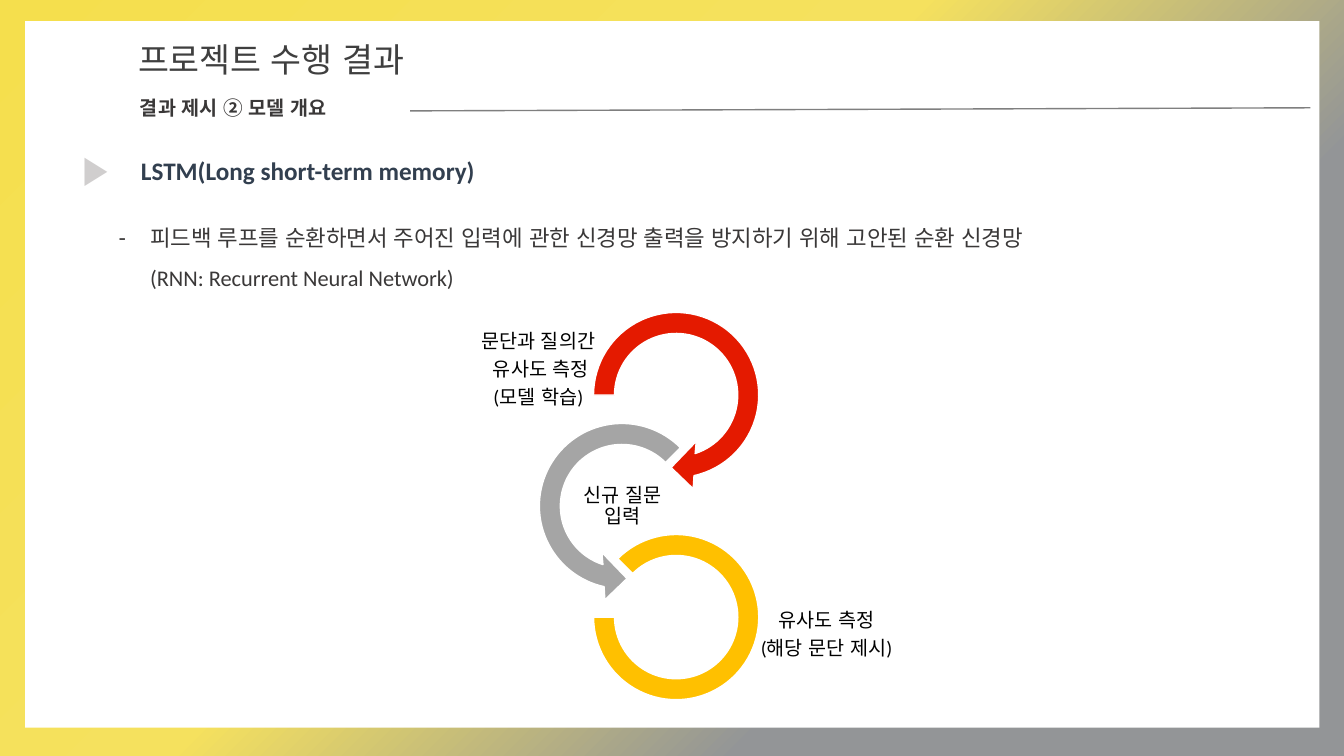
from math import cos, radians, sin, tan

from lxml.etree import SubElement
from pptx import Presentation
from pptx.dml.color import RGBColor
from pptx.enum.shapes import MSO_CONNECTOR as Connector, MSO_SHAPE as Preset
from pptx.enum.text import MSO_ANCHOR as Anchor, MSO_AUTO_SIZE as AutoSize, PP_ALIGN as Align
from pptx.oxml.ns import qn
from pptx.util import Pt

# Rings of the process diagram, in points
OUTER, INNER, FRAME = 59, 44, 68.8
RING_X, RING_Y = 483, 282.2
STEP_X, STEP_Y = -38.7, 79.3


def color(hex_code):
    return RGBColor.from_string(hex_code)


def place(shape, box):
    shape.left, shape.top, shape.width, shape.height = [Pt(value) for value in box]


def paint(shape, fill, line=None):
    shape.shadow.inherit = False
    shape.fill.solid()
    shape.fill.fore_color.rgb = color(fill)
    if line:
        shape.line.color.rgb = color(line)
        shape.line.width = Pt(1)
    else:
        shape.line.fill.background()


def write(shape, text, size, hex_code, font="Calibri", bold=False, align=Align.LEFT,
          anchor=Anchor.TOP, auto_size=AutoSize.SHAPE_TO_FIT_TEXT):
    frame = shape.text_frame
    frame.text = text
    frame.word_wrap = True
    frame.auto_size = auto_size
    frame.vertical_anchor = anchor
    for paragraph in frame.paragraphs:
        paragraph.alignment = align
        paragraph.space_before = Pt(0)
        for run in paragraph.runs:
            run.font.size = Pt(size)
            run.font.name = font
            run.font.bold = bold
            run.font.color.rgb = color(hex_code)
            # Korean glyphs and spaces follow the East Asian font
            SubElement(run._r.get_or_add_rPr(), qn("a:ea"), typeface="Arial")


def add_text(slide, box, *args, **kwargs):
    shape = slide.shapes.add_textbox(*[Pt(value) for value in box])
    write(shape, *args, **kwargs)
    return shape


def add_label(slide, box, text):
    label = add_text(slide, box, text, 14, "000000", align=Align.CENTER,
                     anchor=Anchor.MIDDLE, auto_size=AutoSize.NONE)
    frame = label.text_frame
    frame.margin_left = frame.margin_right = Pt(0.7)
    frame.margin_top = frame.margin_bottom = Pt(0.7)
    for index, paragraph in enumerate(frame.paragraphs):
        paragraph.line_spacing = 0.9
        paragraph.space_before = Pt(4.9 if index else 0)


def curve(radius, start, end, pieces=4):
    """Three Bezier points for each piece of an arc, without its first point."""
    step = radians(end - start) / pieces
    pull = 4 / 3 * tan(step / 4)
    points = []
    for index in range(pieces):
        a = radians(start) + index * step
        b = a + step
        points += [(radius * (cos(a) - pull * sin(a)), radius * (sin(a) + pull * cos(a))),
                   (radius * (cos(b) + pull * sin(b)), radius * (sin(b) - pull * cos(b))),
                   (radius * cos(b), radius * sin(b))]
    return points


def bend(lines):
    """Join each three line segments into one Bezier segment."""
    for first in range(0, len(lines), 3):
        bezier = lines[first].makeelement(qn("a:cubicBezTo"))
        lines[first].addprevious(bezier)
        for line in lines[first:first + 3]:
            bezier.append(line[0])
            line.getparent().remove(line)


def add_ring_arrow(slide, center_x, center_y, start, fill, mirror=1):
    def corner(radius):
        return radius * cos(radians(start)), radius * sin(radians(start))

    outer, inner = curve(OUTER, start, 437.5), curve(INNER, 432, start)
    head = [(12.2, 67), (-3.6, 51.8), (14.4, 33.1), (13.6, 41.8)]
    outline = [corner(OUTER)] + outer + head + inner
    points = [(Pt(center_x + mirror * x), Pt(center_y + y)) for x, y in outline]
    builder = slide.shapes.build_freeform(*points[0])
    builder.add_line_segments(points[1:], close=True)
    arrow = builder.convert_to_shape()
    paint(arrow, fill, "FFFFFF")

    # Square frame around the ring center
    left, top = arrow.left, arrow.top
    place(arrow, (center_x - FRAME, center_y - FRAME, 2 * FRAME, 2 * FRAME))
    outline_path = next(arrow.element.iter(qn("a:path")))
    outline_path.set("w", str(arrow.width))
    outline_path.set("h", str(arrow.height))
    for point in outline_path.iter(qn("a:pt")):
        point.set("x", str(int(point.get("x")) + left - arrow.left))
        point.set("y", str(int(point.get("y")) + top - arrow.top))
    lines = outline_path.findall(qn("a:lnTo"))
    inner_start = len(outer) + len(head)
    bend(lines[:len(outer)])
    bend(lines[inner_start:inner_start + len(inner)])


def add_rule(slide, start, end, hex_code):
    rule = slide.shapes.add_connector(Connector.STRAIGHT, *[Pt(v) for v in start + end])
    rule.line.color.rgb = color(hex_code)
    rule.line.width = Pt(1)
    SubElement(rule.element.spPr, qn("a:effectLst"))


def set_background(slide, stops):
    fill = slide.background.fill
    fill.gradient()
    fill.gradient_angle = 315
    stop_list = next(slide.element.iter(qn("a:gsLst")))
    for old_stop in list(stop_list):
        stop_list.remove(old_stop)
    for position, hex_code in stops:
        stop = SubElement(stop_list, qn("a:gs"), pos=str(position * 1000))
        SubElement(stop, qn("a:srgbClr"), val=hex_code)


def set_dash_bullet(paragraph, indent, hex_code):
    properties = paragraph._p.get_or_add_pPr()
    properties.set("marL", str(Pt(indent)))
    properties.set("indent", str(-Pt(indent)))
    bullet_color = SubElement(properties, qn("a:buClr"))
    SubElement(bullet_color, qn("a:srgbClr"), val=hex_code)
    SubElement(properties, qn("a:buChar"), char="-")


def main():
    presentation = Presentation()
    presentation.slide_width, presentation.slide_height = Pt(960), Pt(540)
    slide = presentation.slides.add_slide(presentation.slide_layouts[1])
    title, body = slide.placeholders

    # Background and white panel
    set_background(slide, [(0, "F5DF4D"), (44, "F5E15E"), (71, "939597")])
    panel = slide.shapes.add_shape(Preset.RECTANGLE, Pt(18), Pt(15.1), Pt(924.5), Pt(504.7))
    paint(panel, "FFFFFF")
    title.element.addprevious(panel.element)

    # Headings
    place(title, (91.4, 24.5, 232.6, 36))
    write(title, "프로젝트 수행 결과", 24, "3F3F3F", font="Arial")
    add_text(slide, (92.9, 64.8, 219.6, 24.5), "결과 제시 ② 모델 개요", 14, "3A3838", bold=True)
    add_rule(slide, (293, 79.2), (936, 77), "7F7F7F")
    add_text(slide, (51.8, 99.4, 39.6, 41), "▶", 28, "D0CECE", font="Arial", bold=True)
    add_text(slide, (93.6, 107.3, 650, 48.2), "LSTM(Long short-term memory)", 18, "323F4F",
             bold=True)

    # Description
    place(body, (77.5, 146.9, 677.5, 61.9))
    write(body, "피드백 루프를 순환하면서 주어진 입력에 관한 신경망 출력을 방지하기 위해 고안된 "
                "순환 신경망 (RNN: Recurrent Neural Network)", 16, "3A3838")
    description = body.text_frame.paragraphs[0]
    description.line_spacing = 1.5
    set_dash_bullet(description, 22.5, "3A3838")

    # Process rings
    add_ring_arrow(slide, RING_X, RING_Y, 180, "E41A00")
    add_ring_arrow(slide, RING_X + STEP_X, RING_Y + STEP_Y, 225, "A5A5A5", mirror=-1)
    last_ring = slide.shapes.add_shape(
        Preset.BLOCK_ARC, Pt(RING_X - OUTER), Pt(RING_Y + 2 * STEP_Y - OUTER),
        Pt(2 * OUTER), Pt(2 * OUTER))
    for index, value in enumerate((135, 108, 0.127)):
        last_ring.adjustments[index] = value
    paint(last_ring, "FFC000", "FFFFFF")

    # Ring labels
    add_label(slide, (275.8, 245.5, 217.4, 38.2), "문단과 질의간\n 유사도 측정\n(모델 학습)")
    add_label(slide, (406.8, 342.7, 76.3, 38.2), "신규 질문 입력")
    add_label(slide, (508.3, 434.9, 164.2, 38.2), "유사도 측정\n(해당 문단 제시)")

    presentation.save("out.pptx")


if __name__ == "__main__":
    main()
